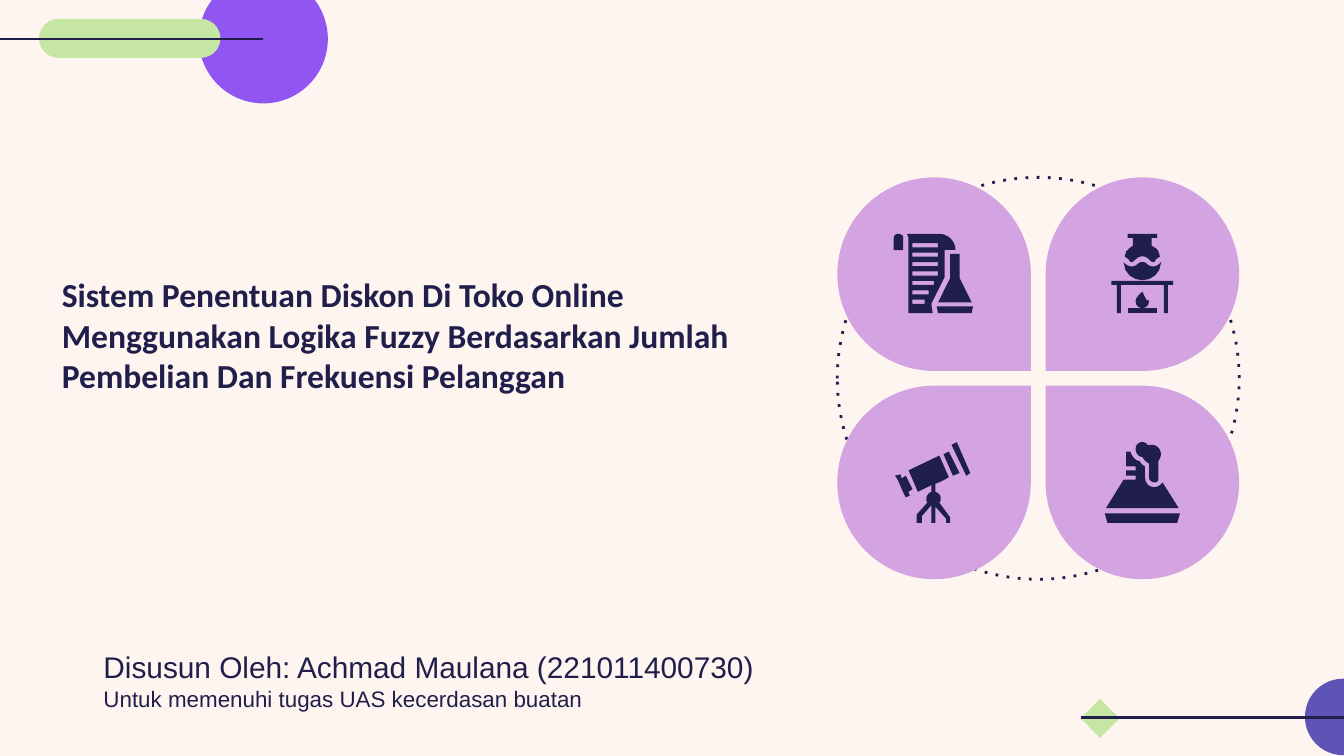
from pptx import Presentation
from pptx.dml.color import RGBColor
from pptx.enum.dml import MSO_LINE
from pptx.enum.shapes import MSO_CONNECTOR, MSO_SHAPE as SHAPE
from pptx.enum.text import MSO_ANCHOR as ANCHOR, MSO_AUTO_SIZE, PP_ALIGN
from pptx.oxml.ns import qn
from pptx.util import Inches, Pt
from lxml import etree

COLORS = {
    "background": "FEF5F0", "ink": "201F4B", "violet": "9156F1",
    "indigo": "5E54B5", "green": "C6E6A3", "petal": "D4A4E2",
}

# Icon outlines: M, C and L points in hundredths of an inch, one string per part
TEXT_LINES = [(181, 698), (188, 698), (195, 698), (202, 698),
              (209, 695), (216, 691), (223, 688)]
LINE_HOLES = " ".join(
    f"M 679 {top} L {right} {top} L {right} {top + 3} L 679 {top + 3}"
    for top, right in TEXT_LINES)

REPORT = [
    "M 668 174 C 667 174 665 175 665 177 L 665 186 L 672 186 L 672 177 "
    "C 672 176 672 175 671 175 C 670 174 669 174 668 174",
    "M 703 206 L 703 186 L 711 186 C 711 179 705 174 699 174 L 675 174 "
    "C 675 175 676 176 676 177 L 676 233 L 694 233 L 693 226 " + LINE_HOLES,
    "M 697 228 L 698 233 L 723 233 L 724 228",
    "M 707 189 L 707 207 L 698 225 L 723 225 L 714 207 L 714 189",
]
BURNER = [
    "M 839 229 L 839 233 L 861 233 L 861 229",
    "M 827 209 L 827 212 L 831 212 L 831 233 L 834 233 L 834 212 L 866 212 "
    "L 866 233 L 869 233 L 869 212 L 873 212 L 873 209",
    "M 842 195 C 843 195 844 194 845 193 C 848 190 852 190 855 193 "
    "C 856 194 857 195 858 195 C 859 195 860 194 860 193 L 863 191 "
    "C 863 189 862 188 862 187 C 861 185 859 184 857 183 L 857 177 L 861 177 "
    "L 861 174 L 839 174 L 839 177 L 843 177 L 843 183 "
    "C 841 184 840 185 838 187 C 838 188 837 189 837 191 L 840 193 "
    "C 840 194 841 195 842 195",
    "M 864 195 L 863 196 C 860 199 856 199 853 196 C 852 195 851 195 850 195 "
    "C 849 195 848 195 847 196 C 844 199 840 199 837 196 L 836 195 "
    "C 837 213 863 213 864 195",
    "M 855 224 C 855 223 854 224 853 223 C 852 221 850 217 850 217 "
    "C 850 217 845 221 845 224 C 845 231 855 231 855 224",
]
TELESCOPE = [
    "M 674 354 L 671 356 L 670 353 L 666 354 L 668 357 "
    "C 669 359 673 369 674 370 L 677 369 L 676 366 L 679 364",
    "M 708 331 L 712 329 L 722 352 L 719 354",
    "M 702 338 L 709 354 L 714 352 L 706 336",
    "M 700 371 C 700 369 699 367 696 366 L 696 360 C 699 359 705 356 706 355 "
    "L 699 339 L 676 350 L 683 366 L 693 361 L 693 366 "
    "C 690 367 688 371 690 374 L 682 383 L 682 389 L 686 389 L 686 384 "
    "L 693 376 L 693 389 L 696 389 L 696 377 L 704 386 L 704 389 L 707 389 "
    "L 707 385 L 699 374 C 700 373 700 372 700 371",
]
REACTION = [
    "M 822 382 L 824 389 L 876 389 L 878 382",
    "M 865 359 C 861 365 852 363 852 355 L 852 347 C 850 346 849 345 848 343 "
    "C 846 343 845 342 844 341 C 842 339 842 338 841 336 L 838 336 L 838 347 "
    "L 845 347 L 845 350 L 838 350 L 838 354 L 845 354 L 845 357 L 836 357 "
    "L 823 378 L 877 378",
    "M 850 340 C 851 342 853 344 855 345 L 855 356 C 855 357 857 359 859 359 "
    "C 861 359 862 358 862 356 L 862 343 C 866 338 863 331 857 331 "
    "C 856 331 855 331 855 331 C 854 332 854 331 854 331 "
    "C 851 327 845 329 845 334 C 845 337 847 340 850 340",
]


def trace(outline):
    """Turn an outline string into contours of points, with curves flattened."""
    contours, command, pending = [], "", []
    for token in outline.split():
        if token in "MLC":
            command = token
            continue
        pending.append(Inches(int(token) / 100))
        if len(pending) < (6 if command == "C" else 2):
            continue
        points = list(zip(pending[::2], pending[1::2]))
        pending = []
        if command == "M":
            contours.append(points)
        elif command == "L":
            contours[-1] += points
        else:
            curve = [contours[-1][-1]] + points
            for step in range(1, 9):
                t = step / 8
                weights = ((1 - t) ** 3, 3 * t * (1 - t) ** 2, 3 * t * t * (1 - t), t ** 3)
                contours[-1].append(tuple(
                    sum(w * point[axis] for w, point in zip(weights, curve))
                    for axis in (0, 1)))
    return contours


class Slide:
    """Holds the style and the current page."""

    def __init__(self, deck):
        self.page = deck.slides.add_slide(deck.slide_layouts[0])
        self.fill(self.page.background, "background")

    def color(self, name):
        return RGBColor.from_string(COLORS[name])

    def fill(self, item, name):
        item.fill.solid()
        item.fill.fore_color.rgb = self.color(name)

    def shape(self, kind, left, top, width, height, color, rotation=0):
        box = self.page.shapes.add_shape(
            kind, Inches(left), Inches(top), Inches(width), Inches(height))
        box.shadow.inherit = False
        box.rotation = rotation
        self.fill(box, color)
        box.line.fill.background()
        return box

    def dotted_ring(self, left, top, size):
        ring = self.shape(SHAPE.OVAL, left, top, size, size, "ink")
        ring.fill.background()
        ring.line.color.rgb = self.color("ink")
        ring.line.width = Pt(1.5)
        ring.line.dash_style = MSO_LINE.DASH
        ring.line._ln.find(qn("a:prstDash")).set("val", "dot")

    def rule(self, left, right, y):
        line = self.page.shapes.add_connector(
            MSO_CONNECTOR.STRAIGHT, Inches(left), Inches(y), Inches(right), Inches(y))
        line.line.color.rgb = self.color("ink")
        line.line.width = Pt(1.5)
        etree.SubElement(line._element.spPr, qn("a:effectLst"))

    def icon(self, parts):
        for outline in parts:
            first, *others = trace(outline)
            builder = self.page.shapes.build_freeform(*first[0])
            builder.add_line_segments(first[1:], close=True)
            for contour in others:
                builder.move_to(*contour[0])
                builder.add_line_segments(contour[1:], close=True)
            part = builder.convert_to_shape()
            part.shadow.inherit = False
            self.fill(part, "ink")
            part.line.fill.background()

    def text(self, index, left, top, width, height, lines, font, anchor, bold=False):
        box = self.page.placeholders[index]
        box.left, box.top = Inches(left), Inches(top)
        box.width, box.height = Inches(width), Inches(height)
        frame = box.text_frame
        frame.word_wrap, frame.auto_size = True, MSO_AUTO_SIZE.NONE
        frame.vertical_anchor = anchor
        frame.margin_left = frame.margin_right = Inches(0.1)
        frame.margin_top = frame.margin_bottom = Inches(0.1)
        frame.text = "\n".join(words for words, _ in lines)
        for para, (_, size) in zip(frame.paragraphs, lines):
            para.alignment = PP_ALIGN.LEFT
            para.space_before = Pt(0)
            para.font.name, para.font.size, para.font.bold = font, Pt(size), bold
            para.font.color.rgb = self.color("ink")


def main():
    deck = Presentation()
    deck.slide_width = Inches(10)
    deck.slide_height = deck.slide_width * 9 // 16
    slide = Slide(deck)

    # Corner ornaments
    slide.shape(SHAPE.OVAL, 1.48, -0.19, 0.96, 0.96, "violet")
    pill = slide.shape(SHAPE.ROUNDED_RECTANGLE, 0.29, 0.14, 1.35, 0.29, "green")
    pill.adjustments[0] = 0.5
    slide.rule(0, 1.96, 0.29)
    slide.shape(SHAPE.OVAL, 9.71, 5.05, 0.57, 0.57, "indigo")
    slide.shape(SHAPE.DIAMOND, 8.04, 5.2, 0.29, 0.29, "green")
    slide.rule(8.04, 10.29, 5.34)

    # Title and author
    slide.text(0, 0.36, 0.86, 5.66, 2.18, [
        ("Sistem Penentuan Diskon Di Toko Online Menggunakan Logika Fuzzy "
         "Berdasarkan Jumlah Pembelian Dan Frekuensi Pelanggan", 18),
    ], "Calibri", ANCHOR.BOTTOM, bold=True)
    slide.text(1, 0.67, 4.73, 5.98, 0.81, [
        ("Disusun Oleh: Achmad Maulana (221011400730)", 16),
        ("Untuk memenuhi tugas UAS kecerdasan buatan", 12),
    ], "Arial", ANCHOR.TOP)

    # Four petals with science icons, points towards the centre of the ring
    left, top, pitch = 6.23, 1.32, 1.55
    slide.dotted_ring(left, top, 2.99)
    petals = [(0, 0, 90, REPORT), (1, 0, 180, BURNER),
              (0, 1, 0, TELESCOPE), (1, 1, 270, REACTION)]
    for column, row, rotation, parts in petals:
        slide.shape(SHAPE.TEAR, left + column * pitch, top + row * pitch,
                    1.44, 1.44, "petal", rotation)
        slide.icon(parts)

    deck.save("out.pptx")


if __name__ == "__main__":
    main()
